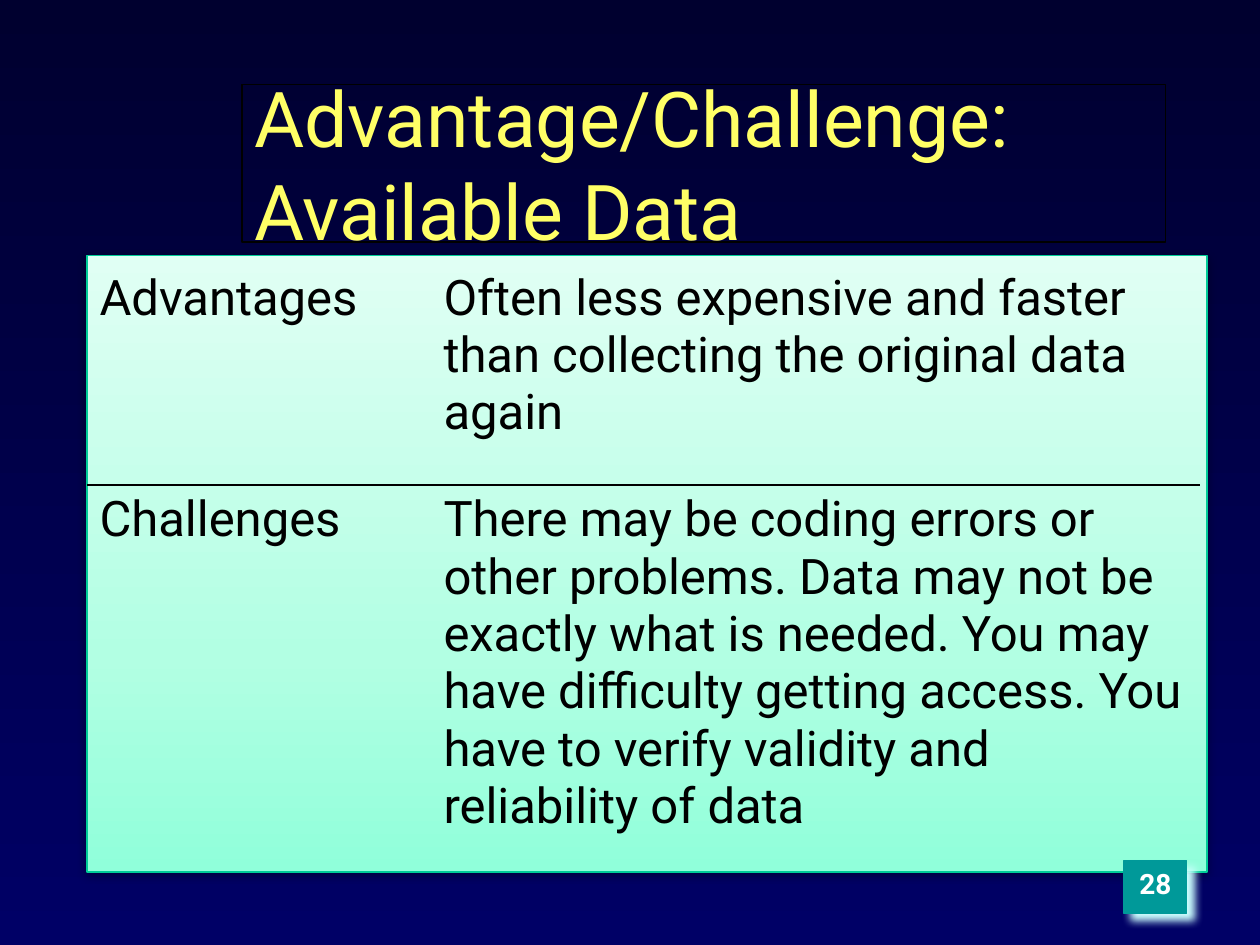
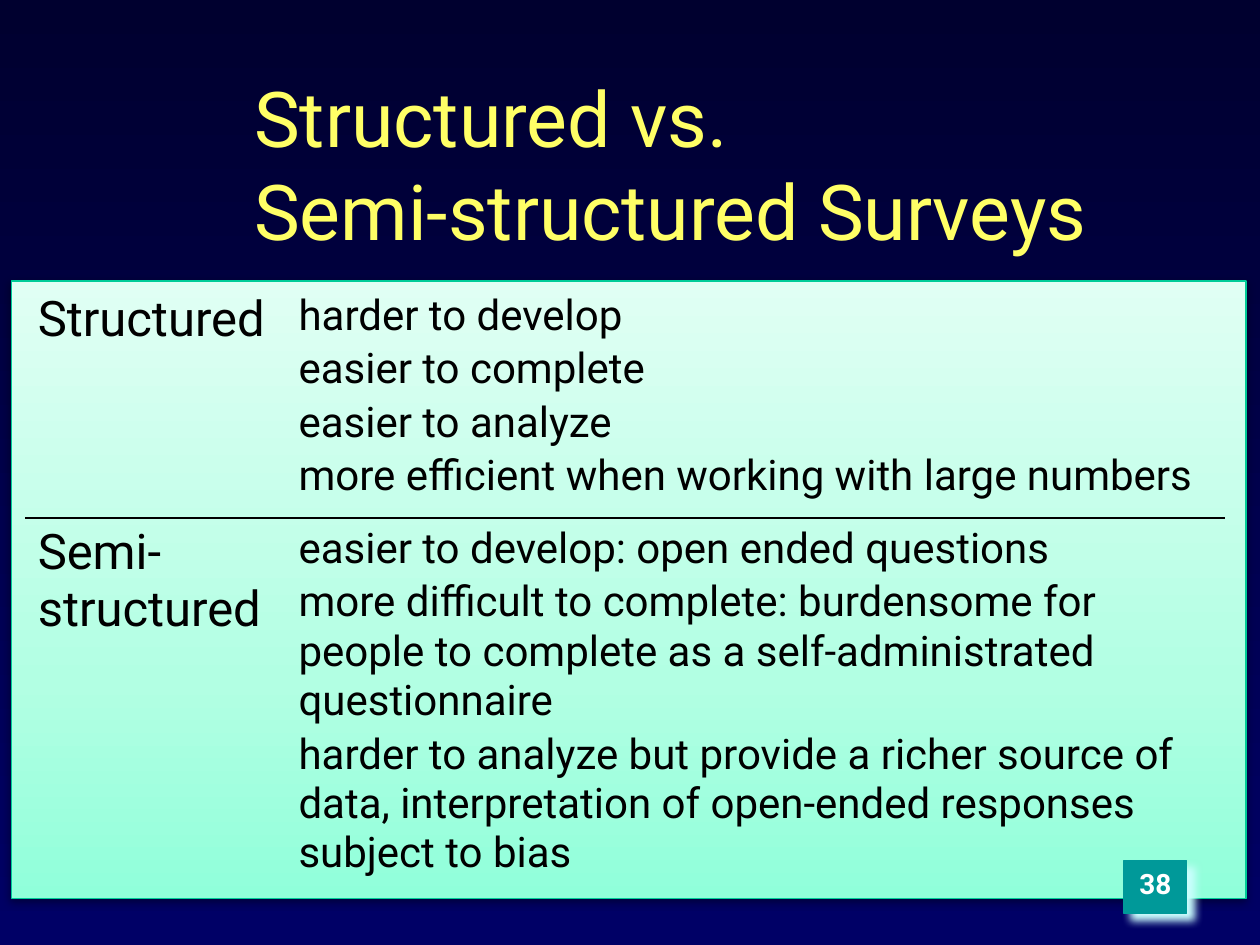
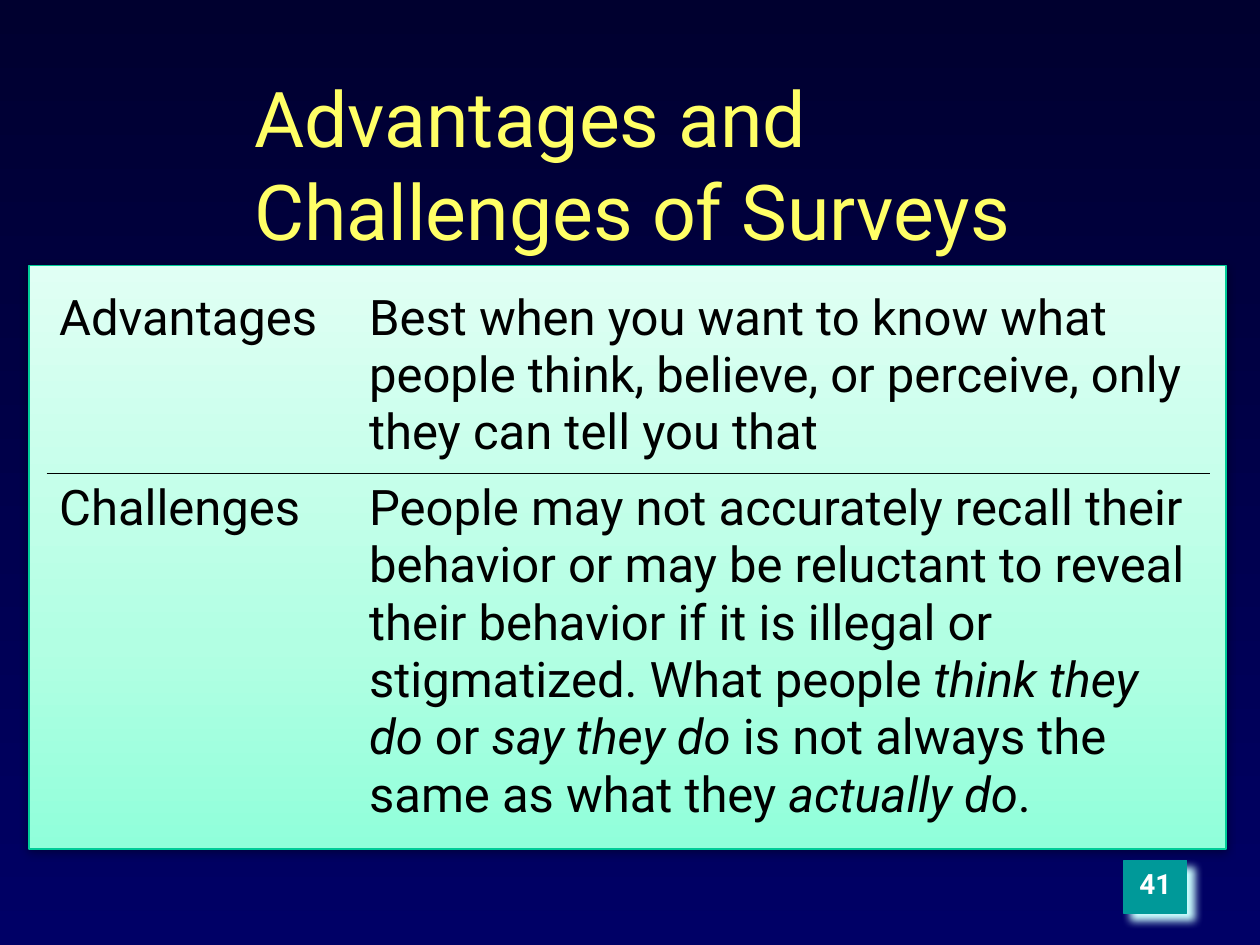
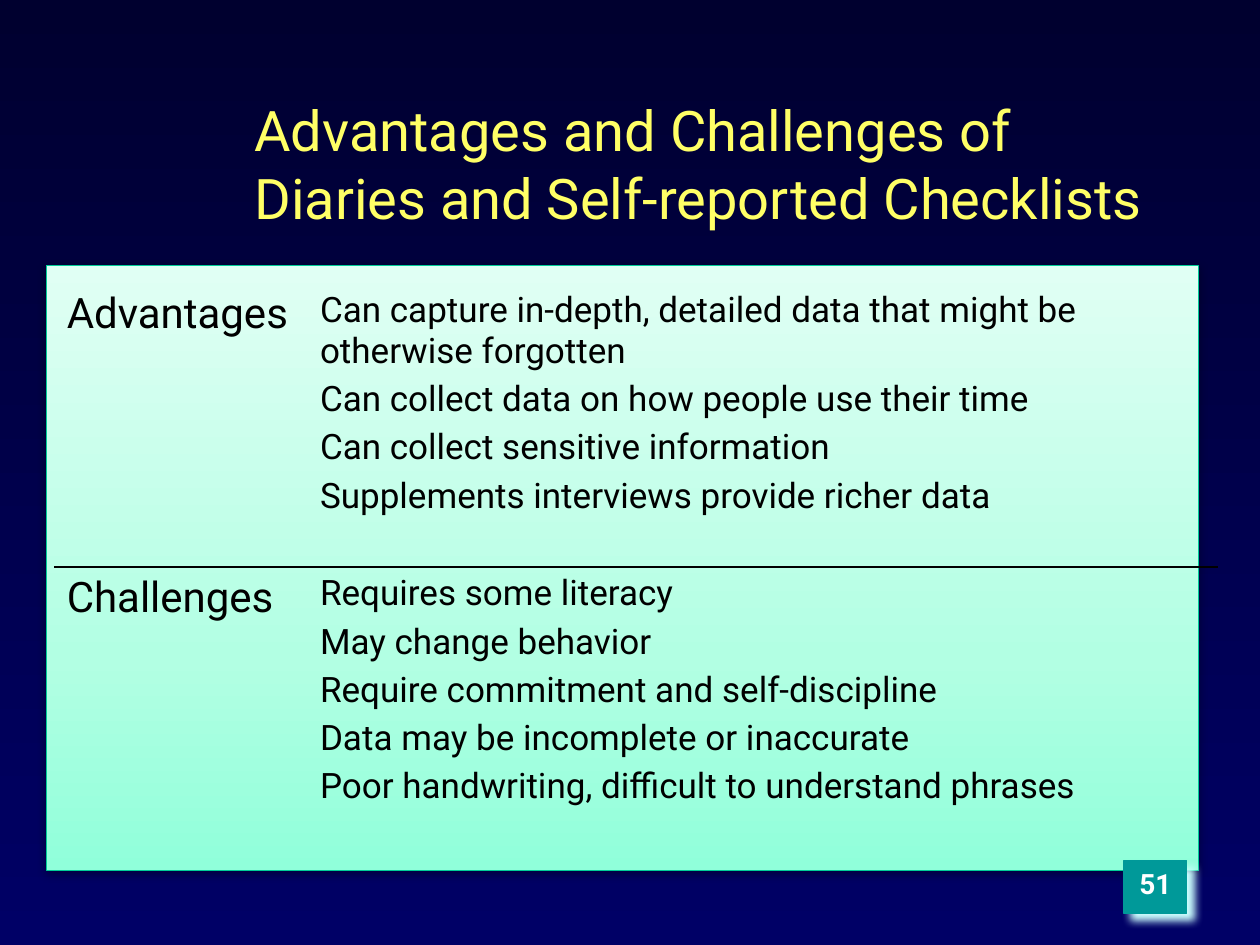
from dataclasses import dataclass

from lxml import etree
from pptx import Presentation
from pptx.dml.color import RGBColor
from pptx.enum.shapes import MSO_SHAPE
from pptx.enum.text import MSO_ANCHOR, PP_ALIGN
from pptx.oxml.ns import qn
from pptx.util import Inches, Pt

RECTANGLE = MSO_SHAPE.RECTANGLE
TOP, MIDDLE = MSO_ANCHOR.TOP, MSO_ANCHOR.MIDDLE
LEFT, CENTER = PP_ALIGN.LEFT, PP_ALIGN.CENTER

SLIDE_WIDTH, SLIDE_HEIGHT = Inches(10), Inches(7.5)
GRID_COLUMNS, GRID_ROWS = 100, 75
BLANK_LAYOUT = 6
PLAIN_TABLE_STYLE = "{2D5ABB26-0587-4C30-8999-92F81FD0307C}"


@dataclass(frozen=True)
class Theme:
    font: str = "Roboto"
    background: tuple = ((0, "00002F"), (100, "000066"))
    panel: tuple = ((0, "90FFDA"), (35, "B2FFE3"), (100, "E0FFF4"))
    panel_line: str = "00CC98"
    title: str = "FFFF66"
    ink: str = "000000"
    badge: str = "009999"
    badge_text: str = "FFFFFF"
    badge_glow: str = "CCFFFF"
    title_size: int = 44
    small_title_size: int = 32
    label_size: int = 28
    badge_size: int = 16
    outline: float = 0.75
    rule: float = 1


THEME = Theme()


@dataclass(frozen=True)
class Box:
    """An area in grid columns and rows."""
    left: float
    top: float
    width: float
    height: float

    def place(self):
        return (across(self.left), down(self.top),
                across(self.width), down(self.height))


TITLE_BOX = Box(19.2, 6.7, 73.3, 12.5)
BADGE_BOX = Box(89.2, 68.3, 5, 4.2)


@dataclass(frozen=True)
class Comparison:
    """A slide with two labelled rows; the table's offset is from its panel."""
    number: int
    title: str
    panel: Box
    offset: tuple
    columns: tuple
    rows: tuple
    content: tuple
    title_size: int = THEME.title_size
    label_size: int = THEME.label_size
    text_size: int = THEME.label_size
    gap: float = 0
    framed_title: bool = False


def across(columns):
    return round(SLIDE_WIDTH * columns / GRID_COLUMNS)


def down(rows):
    return round(SLIDE_HEIGHT * rows / GRID_ROWS)


def write(text_frame, *paragraphs, size, color, bold=False, align=LEFT, gap=0):
    """Write paragraphs; asterisks enclose italics and a newline breaks a line."""
    text_frame.word_wrap = True
    for index, text in enumerate(paragraphs):
        paragraph = text_frame.add_paragraph() if index else text_frame.paragraphs[0]
        paragraph.alignment = align
        paragraph.space_before = Pt(gap if index else 0)
        for part_index, part in enumerate(text.split("*")):
            for line_index, line in enumerate(part.split("\n")):
                if line_index:
                    paragraph.add_line_break()
                if not line:
                    continue
                run = paragraph.add_run()
                run.text = line
                run.font.name = THEME.font
                run.font.size = Pt(size)
                run.font.bold = bold
                run.font.italic = part_index % 2 == 1
                run.font.color.rgb = RGBColor.from_string(color)


def add_color(parent, color):
    return etree.SubElement(parent, qn("a:srgbClr"), val=color)


def paint_gradient(fill, element, stops, angle):
    fill.gradient()
    fill.gradient_angle = angle
    stop_list = next(element.iter(qn("a:gsLst")))
    for stop in list(stop_list):
        stop_list.remove(stop)
    for position, color in stops:
        stop = etree.SubElement(stop_list, qn("a:gs"), pos=str(position * 1000))
        add_color(stop, color)


def add_shadow(shape, color, opacity, blur, distance, angle):
    shape.shadow.inherit = False
    effects = shape._element.spPr.find(qn("a:effectLst"))
    shadow = etree.SubElement(
        effects, qn("a:outerShdw"), blurRad=str(Pt(blur)), dist=str(Pt(distance)),
        dir=str(angle * 60000), algn="ctr", rotWithShape="0")
    etree.SubElement(add_color(shadow, color), qn("a:alpha"), val=str(opacity * 1000))


def set_outline(shape, color):
    shape.line.color.rgb = RGBColor.from_string(color)
    shape.line.width = Pt(THEME.outline)


def draw_panel(slide, box):
    panel = slide.shapes.add_shape(RECTANGLE, *box.place())
    paint_gradient(panel.fill, panel._element, THEME.panel, 90)
    set_outline(panel, THEME.panel_line)
    add_shadow(panel, THEME.ink, 38, 5, 1.6, 90)


def draw_badge(slide, box, number):
    badge = slide.shapes.add_shape(RECTANGLE, *box.place())
    badge.fill.solid()
    badge.fill.fore_color.rgb = RGBColor.from_string(THEME.badge)
    set_outline(badge, THEME.badge)
    add_shadow(badge, THEME.badge_glow, 100, 5, 5.7, 45)
    badge.text_frame.vertical_anchor = TOP
    write(badge.text_frame, str(number), size=THEME.badge_size,
          color=THEME.badge_text, bold=True, align=CENTER)


def draw_title(slide, box, text, size, framed):
    title = slide.shapes.add_textbox(*box.place())
    title.text_frame.vertical_anchor = MIDDLE
    if framed:
        set_outline(title, THEME.ink)
    write(title.text_frame, text, size=size, color=THEME.title)


def add_rule(cell, side):
    line = etree.Element(qn(f"a:{side}"), w=str(Pt(THEME.rule)))
    add_color(etree.SubElement(line, qn("a:solidFill")), THEME.ink)
    cell._tc.get_or_add_tcPr().insert(0, line)


def draw_table(slide, comparison):
    panel = comparison.panel
    box = Box(panel.left + comparison.offset[0], panel.top + comparison.offset[1],
              sum(comparison.columns), sum(comparison.rows))
    table = slide.shapes.add_table(
        len(comparison.rows), len(comparison.columns), *box.place()).table
    table.first_row = table.horz_banding = False
    table._tbl.tblPr.find(qn("a:tableStyleId")).text = PLAIN_TABLE_STYLE
    for column, width in zip(table.columns, comparison.columns):
        column.width = across(width)
    for row, height, side, (label, points) in zip(
            table.rows, comparison.rows, ("lnB", "lnT"), comparison.content):
        row.height = down(height)
        label_cell, text_cell = row.cells
        write(label_cell.text_frame, label, size=comparison.label_size, color=THEME.ink)
        write(text_cell.text_frame, *points, size=comparison.text_size,
              color=THEME.ink, gap=comparison.gap)
        for cell in row.cells:
            cell.fill.background()
            add_rule(cell, side)


def draw_comparison(presentation, comparison):
    slide = presentation.slides.add_slide(presentation.slide_layouts[BLANK_LAYOUT])
    paint_gradient(slide.background.fill, slide._element, THEME.background, 270)
    draw_panel(slide, comparison.panel)
    draw_badge(slide, BADGE_BOX, comparison.number)
    draw_title(slide, TITLE_BOX, comparison.title, comparison.title_size,
               comparison.framed_title)
    draw_table(slide, comparison)


COMPARISONS = (
    Comparison(
        number=28,
        title="Advantage/Challenge: Available Data",
        panel=Box(6.9, 20.3, 88.9, 48.9),
        offset=(0, 0.6), columns=(27.3, 61), rows=(17.6, 31.5),
        framed_title=True,
        content=(
            ("Advantages", (
                "Often less expensive and faster than collecting the original data again",)),
            ("Challenges", (
                "There may be coding errors or other problems. Data may not be exactly "
                "what is needed. You may have difficulty getting access. You have to "
                "verify validity and reliability of data",)),
        )),
    Comparison(
        number=38,
        title="Structured vs. \nSemi-structured Surveys",
        panel=Box(0.9, 22.3, 98, 49),
        offset=(1.1, 0.3), columns=(20.7, 74.5), rows=(18.5, 29.8),
        text_size=24, gap=2.4,
        content=(
            ("Structured", (
                "harder to develop",
                "easier to complete",
                "easier to analyze",
                "more efficient when working with large numbers")),
            ("Semi-structured", (
                "easier to develop: open ended questions",
                "more difficult to complete: burdensome for people to complete as a "
                "self-administrated questionnaire",
                "harder to analyze but provide a richer source of data, interpretation "
                "of open-ended responses subject to bias")),
        )),
    Comparison(
        number=41,
        title="Advantages and Challenges of Surveys",
        panel=Box(2.3, 21.1, 95, 46.3),
        offset=(1.4, 1.4), columns=(24.6, 67.7), rows=(15.1, 29),
        content=(
            ("Advantages", (
                "Best when you want to know what people think, believe, or perceive, "
                "only they can tell you that",)),
            ("Challenges", (
                "People may not accurately recall their behavior or may be reluctant to "
                "reveal their behavior if it is illegal or stigmatized. What people "
                "*think they do *or *say they do* is not always the same as what they "
                "*actually do*.",)),
        )),
    Comparison(
        number=51,
        title="Advantages and Challenges of Diaries and Self-reported Checklists",
        panel=Box(3.7, 21.1, 91.4, 48),
        offset=(0.6, 1.4), columns=(20.1, 72.3), rows=(22.5, 22.5),
        title_size=THEME.small_title_size, label_size=24, text_size=20, gap=4,
        content=(
            ("Advantages", (
                "Can capture in-depth, detailed data that might be otherwise forgotten",
                "Can collect data on how people use their time",
                "Can collect sensitive information",
                "Supplements interviews provide richer data")),
            ("Challenges", (
                "Requires some literacy",
                "May change behavior",
                "Require commitment and self-discipline",
                "Data may be incomplete or inaccurate",
                "Poor handwriting, difficult to understand phrases")),
        )),
)


def main():
    presentation = Presentation()
    presentation.slide_width, presentation.slide_height = SLIDE_WIDTH, SLIDE_HEIGHT
    for comparison in COMPARISONS:
        draw_comparison(presentation, comparison)
    presentation.save("out.pptx")


if __name__ == "__main__":
    main()
